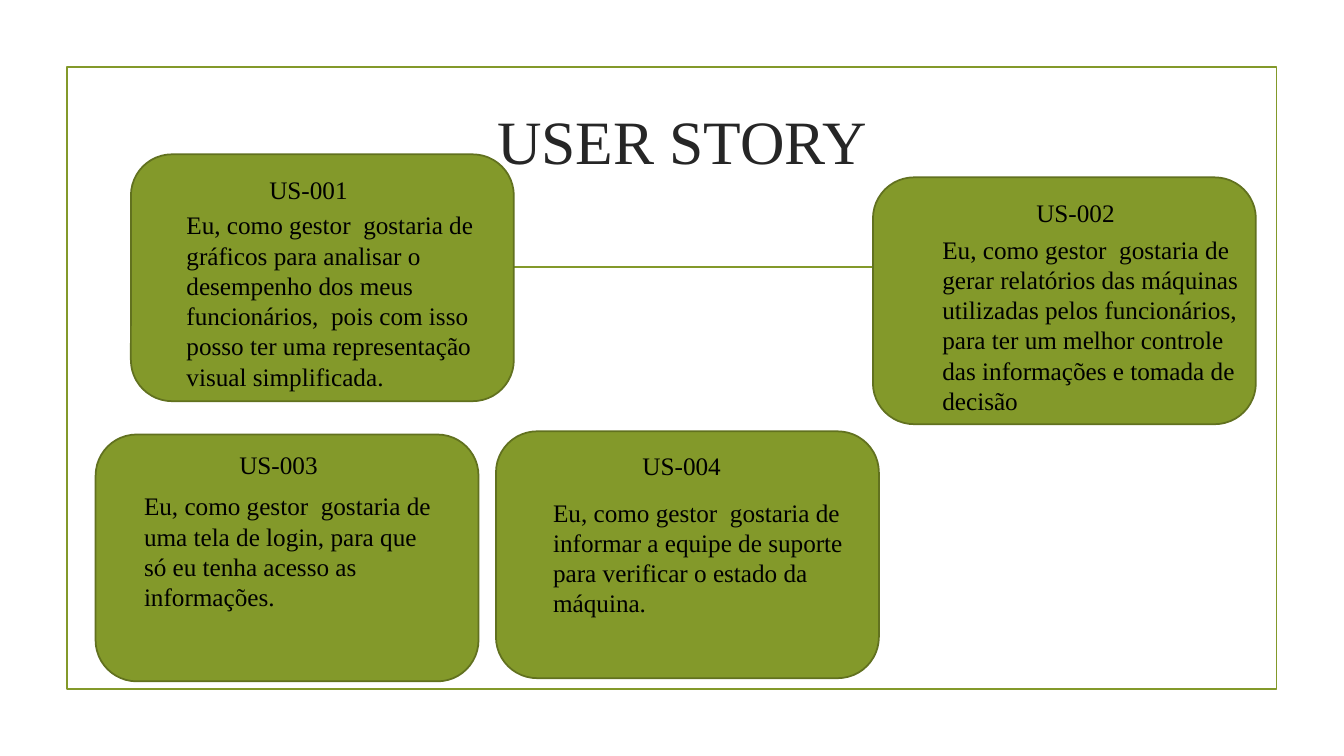
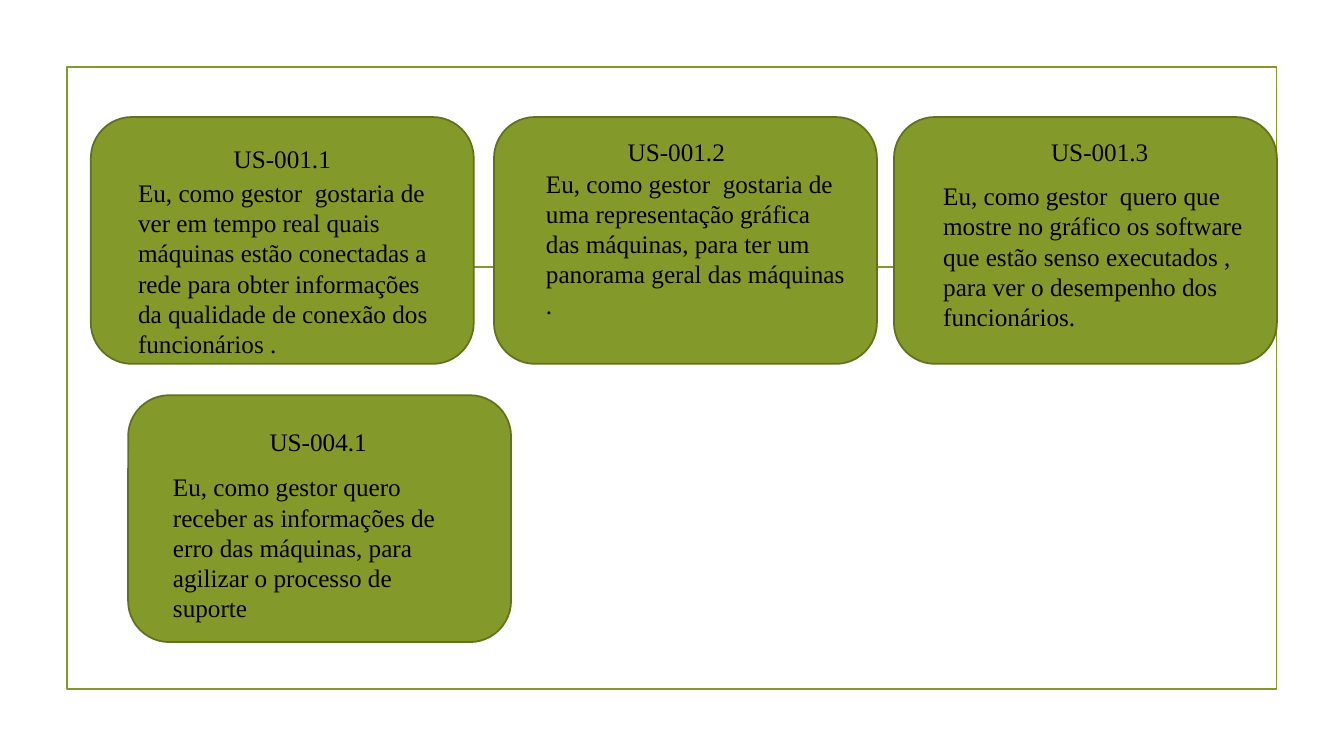
from dataclasses import dataclass

from lxml.etree import SubElement
from pptx import Presentation
from pptx.dml.color import RGBColor
from pptx.enum.shapes import MSO_CONNECTOR, MSO_SHAPE
from pptx.enum.text import MSO_ANCHOR, PP_ALIGN
from pptx.oxml.ns import qn
from pptx.util import Cm, Pt

COLORS = {
    "green": "83992A",
    "dark_green": "61711F",
    "title": "262626",
    "text": "000000",
}
FONT = "Times New Roman"
LINE_WIDTH = Pt(1.25)
CARD_WIDTH, CARD_HEIGHT = 9.65, 6.22
LABEL_HEIGHT, BODY_HEIGHT = 1.02, 4.1
TITLE_ONLY, BLANK = 5, 6


@dataclass
class Story:
    code: str
    text: str
    card: tuple
    label: tuple
    body: tuple
    label_width: float = 8.33
    body_width: float = 8.08


MAIN_STORIES = [
    Story("US-001",
          "Eu, como gestor  gostaria de gráficos para analisar o desempenho dos meus "
          "funcionários,  pois com isso posso ter uma representação visual simplificada.",
          (3.3, 3.89), (3.61, 4.27), (4.45, 5.16)),
    Story("US-002",
          "Eu, como gestor  gostaria de gerar relatórios das máquinas utilizadas pelos "
          "funcionários, para ter um melhor controle das informações e tomada de decisão",
          (22, 4.47), (22.99, 4.85), (23.5, 5.77), label_width=8.23),
    Story("US-003",
          "Eu, como gestor  gostaria de uma tela de login, para que só eu tenha acesso "
          "as informações.",
          (2.41, 10.95), (3.25, 11.2), (3.38, 12.24), label_width=7.54),
    Story("US-004",
          "Eu, como gestor  gostaria de informar a equipe de suporte para verificar o "
          "estado da máquina.",
          (12.5, 10.87), (13.41, 11.23), (13.69, 12.4), label_width=7.54),
]
DETAILED_STORIES = [
    Story("US-001.1",
          "Eu, como gestor  gostaria de ver em tempo real quais máquinas estão conectadas "
          "a rede para obter informações da qualidade de conexão dos funcionários .",
          (2.29, 2.95), (2.95, 3.48), (3.23, 4.34)),
    Story("US-001.2",
          "Eu, como gestor  gostaria de uma representação gráfica das máquinas, para ter "
          "um panorama geral das máquinas .",
          (12.45, 2.95), (12.88, 3.3), (13.51, 4.11)),
    Story("US-001.3",
          "Eu, como gestor  quero que mostre no gráfico os software que estão senso "
          "executados , para ver o desempenho dos funcionários.",
          (22.53, 2.95), (23.55, 3.3), (23.52, 4.42)),
    Story("US-004.1",
          "Eu, como gestor quero receber as informações de erro das máquinas, para "
          "agilizar o processo de suporte",
          (3.23, 9.96), (4.11, 10.62), (4.11, 11.76), label_width=7.82, body_width=7.82),
]


def rgb(name):
    return RGBColor.from_string(COLORS[name])


def write_text(shape, text, size=18, color="text", align=PP_ALIGN.LEFT,
               anchor=MSO_ANCHOR.TOP):
    frame = shape.text_frame
    frame.word_wrap = True
    frame.vertical_anchor = anchor
    paragraph = frame.paragraphs[0]
    paragraph.alignment = align
    run = paragraph.add_run()
    run.text = text
    run.font.name = FONT
    run.font.size = Pt(size)
    run.font.color.rgb = rgb(color)


def add_text_box(slide, position, width, height, text, **text_format):
    left, top = position
    box = slide.shapes.add_textbox(Cm(left), Cm(top), Cm(width), Cm(height))
    write_text(box, text, **text_format)


def add_box(slide, kind, position, width, height, line, fill=None):
    left, top = position
    shape = slide.shapes.add_shape(kind, Cm(left), Cm(top), Cm(width), Cm(height))
    shape.shadow.inherit = False
    shape.line.color.rgb = rgb(line)
    shape.line.width = LINE_WIDTH
    if fill:
        shape.fill.solid()
        shape.fill.fore_color.rgb = rgb(fill)
    else:
        shape.fill.background()


def add_rule(slide, start, end, top):
    connector = slide.shapes.add_connector(
        MSO_CONNECTOR.STRAIGHT, Cm(start), Cm(top), Cm(end), Cm(top))
    connector.line.color.rgb = rgb("green")
    connector.line.width = LINE_WIDTH
    SubElement(connector._element.spPr, qn("a:effectLst"))


def add_title(slide, text):
    title = slide.shapes.title
    title.left, title.top = Cm(3.86), Cm(1.7)
    title.width, title.height = Cm(26.67), Cm(3.63)
    write_text(title, text, size=44, color="title", align=PP_ALIGN.CENTER,
               anchor=MSO_ANCHOR.MIDDLE)


def add_story(slide, story):
    add_box(slide, MSO_SHAPE.ROUNDED_RECTANGLE, story.card, CARD_WIDTH, CARD_HEIGHT,
            line="dark_green", fill="green")
    add_text_box(slide, story.label, story.label_width, LABEL_HEIGHT, story.code,
                 align=PP_ALIGN.CENTER)
    add_text_box(slide, story.body, story.body_width, BODY_HEIGHT, story.text)


def add_story_slide(presentation, stories, title=None):
    layout = presentation.slide_layouts[TITLE_ONLY if title else BLANK]
    slide = presentation.slides.add_slide(layout)
    add_box(slide, MSO_SHAPE.RECTANGLE, (1.69, 1.69), 30.48, 15.67, line="green")
    add_rule(slide, 3.89, 30, 6.73)
    if title:
        add_title(slide, title)
    for story in stories:
        add_story(slide, story)


def main():
    presentation = Presentation()
    presentation.slide_width = Cm(33.87)
    presentation.slide_height = Cm(19.05)
    add_story_slide(presentation, MAIN_STORIES, title="USER STORY")
    add_story_slide(presentation, DETAILED_STORIES)
    presentation.save("out.pptx")


if __name__ == "__main__":
    main()
